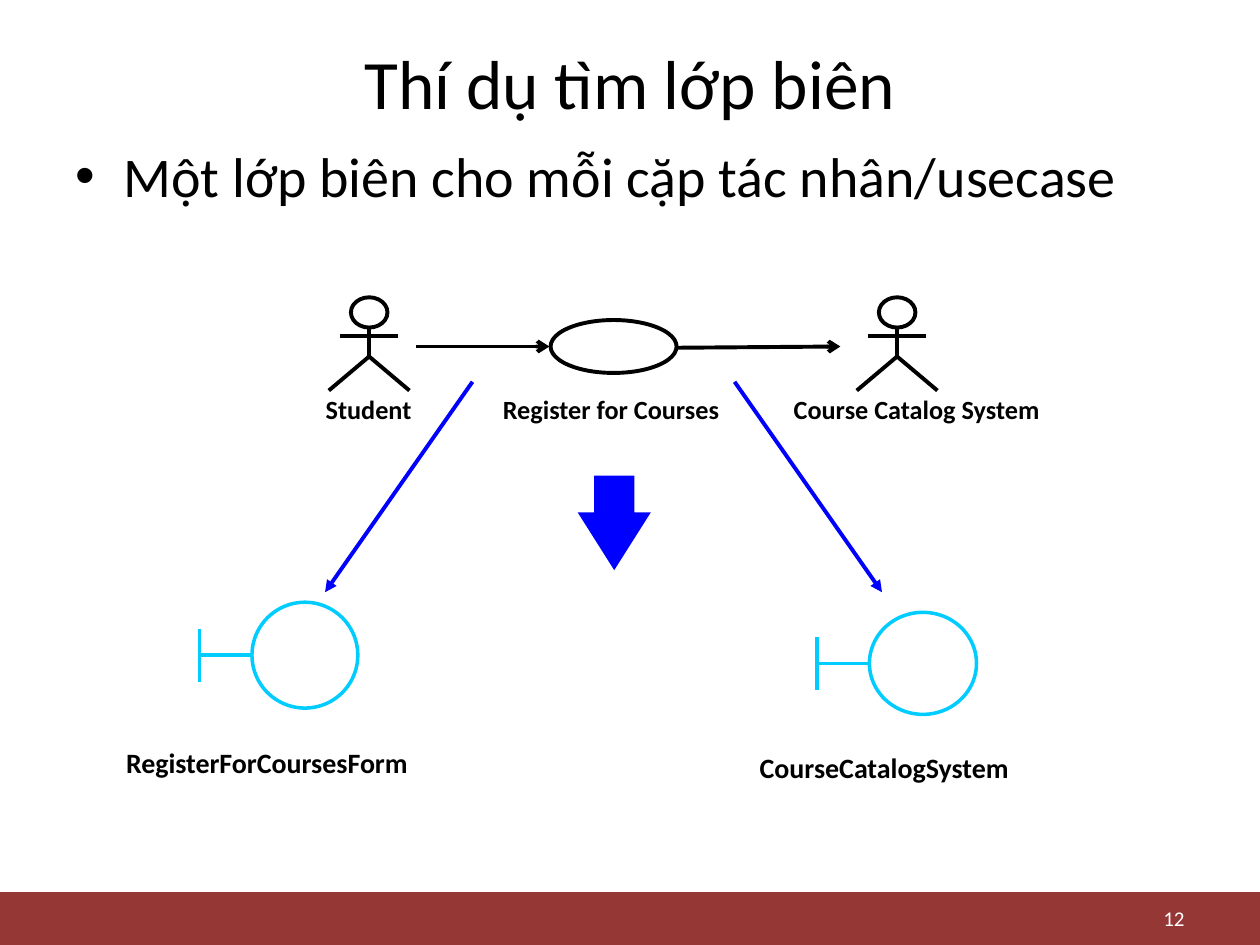
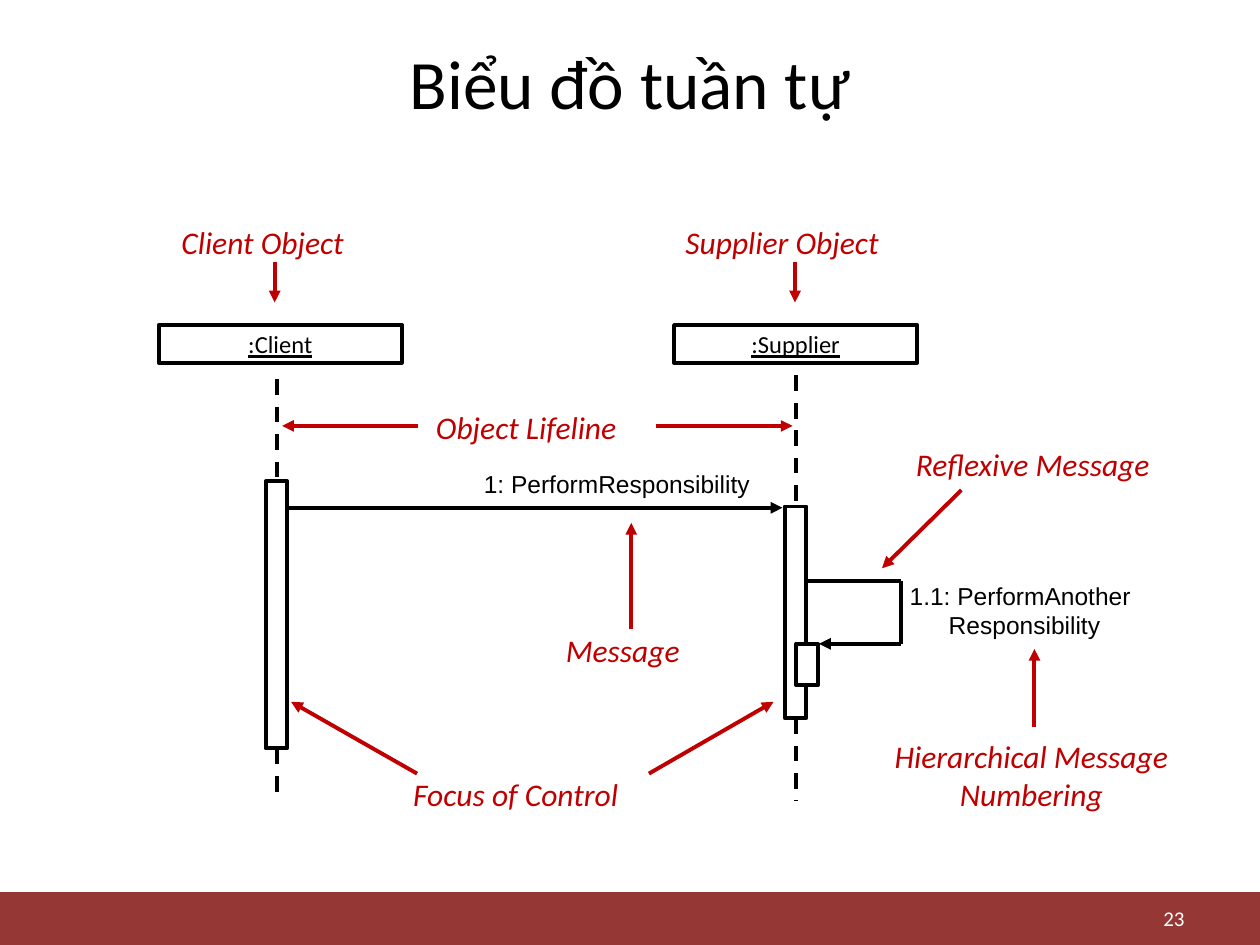
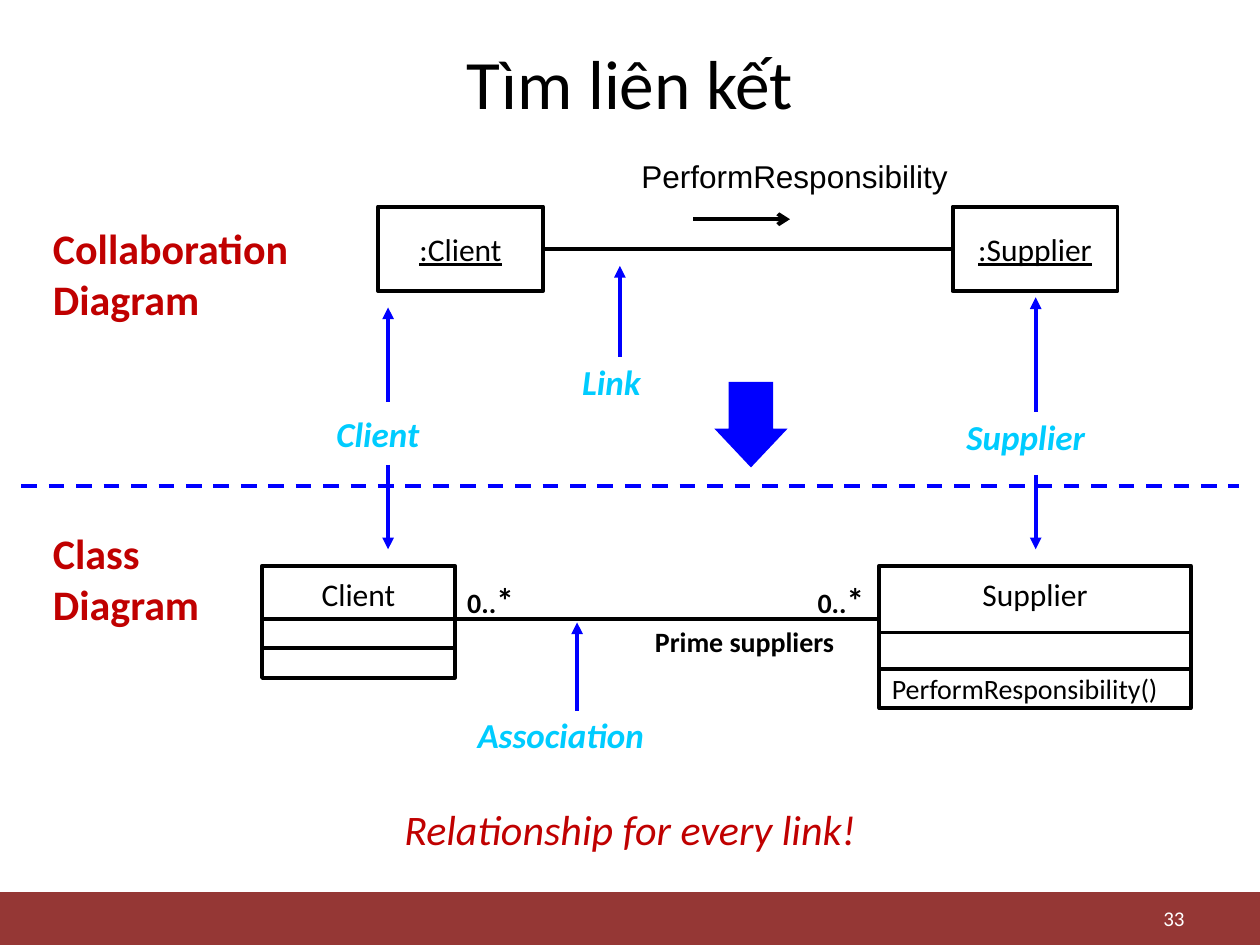
from dataclasses import dataclass
from itertools import pairwise

import pptx
import pptx.dml.color
import pptx.enum.dml
import pptx.enum.shapes
import pptx.enum.text
import pptx.oxml
import pptx.oxml.ns
import pptx.util

SHAPE = pptx.enum.shapes.MSO_SHAPE
ALIGN = pptx.enum.text.PP_ALIGN
ANCHOR = pptx.enum.text.MSO_ANCHOR
FIT = pptx.enum.text.MSO_AUTO_SIZE
COLS, ROWS = 100, 75


@dataclass(frozen=True)
class Type:
    size: float
    color: str = "000000"
    bold: bool = False
    italic: bool = False
    under: bool = False
    face: str = "Calibri"


class Theme:
    black, white, band = "000000", "FFFFFF", "953735"
    red, blue, cyan = "C00000", "0000FF", "00CCFF"
    stroke, thin = 2.25, 2
    types = {
        "title": Type(39.6),
        "body": Type(32),
        "page": Type(12, white),
        "role": Type(15, bold=True),
        "form": Type(16, bold=True),
        "many": Type(20, bold=True),
        "call": Type(18, red, italic=True),
        "object": Type(14, under=True),
        "code": Type(14, face="Arial"),
        "message": Type(18, face="Arial"),
        "term": Type(20, cyan, bold=True, italic=True),
        "head": Type(24, red, bold=True),
        "link": Type(18, under=True),
        "class": Type(18),
        "method": Type(16),
        "moral": Type(24, red, italic=True),
    }


def rgb(code):
    return pptx.dml.color.RGBColor.from_string(code)


def add_tag(parent, name, **attrs):
    tag = pptx.oxml.parse_xml(f"<a:{name} {pptx.oxml.ns.nsdecls('a')}/>")
    for key, value in attrs.items():
        tag.set(key, value)
    parent.append(tag)


class Deck:
    """Style, grid and current slide; every length is in grid columns or rows."""

    def __init__(self, theme):
        self.theme = theme
        self.file = pptx.Presentation()
        self.file.slide_width = pptx.util.Inches(10)
        self.file.slide_height = pptx.util.Inches(7.5)
        self.slide = None

    def x(self, cols):
        return round(self.file.slide_width * cols / COLS)

    def y(self, rows):
        return round(self.file.slide_height * rows / ROWS)

    def spot(self, left, top, wide, high):
        return self.x(left), self.y(top), self.x(wide), self.y(high)

    def start(self, title, page, layout=5):
        self.slide = self.file.slides.add_slide(self.file.slide_layouts[layout])
        self.shape(SHAPE.RECTANGLE, (0, 70.8, COLS, 4.2), fill=self.theme.band)
        self.holder(0, (5, 3, 90, 7), title, "title", ALIGN.CENTER)
        self.note(71.7, 71.35, 23.3, str(page), "page", ALIGN.RIGHT, pad=True)

    def holder(self, index, area, words, kind, align=ALIGN.LEFT):
        item = self.slide.placeholders[index]
        item.left, item.top, item.width, item.height = self.spot(*area)
        item.text_frame.auto_size = FIT.NONE
        item.text_frame.vertical_anchor = ANCHOR.TOP if index else ANCHOR.MIDDLE
        self.set_text(item.text_frame, words, kind, align, 3.8 if index else 0, bool(index))

    def set_text(self, frame, words, kind, align=ALIGN.LEFT, hang=0, bullet=False):
        style = self.theme.types[kind]
        frame.text = words
        for par in frame.paragraphs:
            props = par._p.get_or_add_pPr()
            par.alignment = align
            par.space_before = pptx.util.Pt(0)
            if hang:
                props.set("marL", str(self.x(hang)))
                props.set("indent", str(-self.x(hang)))
            if bullet:
                add_tag(props, "buFont", typeface="Arial")
                add_tag(props, "buChar", char="•")
            font = par.font
            font.name, font.size = style.face, pptx.util.Pt(style.size)
            font.bold, font.italic = style.bold, style.italic
            font.underline = style.under
            font.color.rgb = rgb(style.color)

    def pad(self, frame, top=0):
        frame.margin_left = frame.margin_right = frame.margin_bottom = 0
        frame.margin_top = self.y(top)

    def note(self, left, top, wide, words, kind, align=ALIGN.LEFT, pad=False, wrap=None, hang=0):
        """Text box whose height follows from its lines and type size."""
        lines = 1 + words.count("\n") + words.count("\v")
        high = lines * self.theme.types[kind].size / 6 + pad
        frame = self.slide.shapes.add_textbox(*self.spot(left, top, wide, high)).text_frame
        frame.word_wrap = pad if wrap is None else wrap
        frame.auto_size = FIT.SHAPE_TO_FIT_TEXT
        if not pad:
            self.pad(frame)
        self.set_text(frame, words, kind, align, hang)
        return frame.paragraphs[0]

    def paint(self, item, fill=None, color=None, width=None):
        item.shadow.inherit = False
        if fill:
            item.fill.solid()
            item.fill.fore_color.rgb = rgb(fill)
        else:
            item.fill.background()
        if color:
            item.line.color.rgb = rgb(color)
            item.line.width = pptx.util.Pt(width or self.theme.stroke)
        else:
            item.line.fill.background()
        return item

    def shape(self, form, area, **look):
        return self.paint(self.slide.shapes.add_shape(form, *self.spot(*area)), **look)

    def box(self, area, words="", kind="object", fill=None, inset=None):
        """Outlined rectangle; an inset sets its text from the top, else mid."""
        item = self.shape(SHAPE.RECTANGLE, area, fill=fill, color=self.theme.black)
        if words:
            frame = item.text_frame
            self.pad(frame, inset or 0)
            frame.vertical_anchor = ANCHOR.TOP if inset else ANCHOR.MIDDLE
            self.set_text(frame, words, kind, ALIGN.CENTER)
        return item

    def line(self, start, end, color=None, tip=None, dash=False, width=None, joins=(None, None)):
        """Straight line; joins holds a (shape, side) pair or None for each end."""
        item = self.slide.shapes.add_connector(
            pptx.enum.shapes.MSO_CONNECTOR.STRAIGHT,
            self.x(start[0]), self.y(start[1]), self.x(end[0]), self.y(end[1]))
        for join, hook in zip(joins, (item.begin_connect, item.end_connect)):
            if join:
                hook(*join)
        item.line.color.rgb = rgb(color or self.theme.black)
        item.line.width = pptx.util.Pt(width or self.theme.stroke)
        if dash:
            item.line.dash_style = pptx.enum.dml.MSO_LINE.DASH
        if tip:
            add_tag(item.line._get_or_add_ln(), "tailEnd", type=tip)
        add_tag(item._element.spPr, "effectLst")

    def arrow(self, start, end, color):
        self.line(start, end, color, "triangle")

    def block(self, area, shaft, head):
        item = self.shape(SHAPE.DOWN_ARROW, area, fill=self.theme.blue)
        item.adjustments[0], item.adjustments[1] = shaft, head

    def actor(self, mid, top):
        """Stick figure centred on the column mid."""
        black = self.theme.black
        self.shape(SHAPE.OVAL, (mid - 1.45, top, 2.9, 2.4), color=black)
        self.line((mid, top + 2.5), (mid, top + 4.7))
        self.line((mid - 2.3, top + 3.1), (mid + 2.3, top + 3.1))
        feet = top + 7.4
        legs = self.slide.shapes.build_freeform(self.x(mid - 3.2), self.y(feet))
        legs.add_line_segments(
            [(self.x(mid), self.y(top + 4.7)), (self.x(mid + 3.2), self.y(feet))], close=False)
        self.paint(legs.convert_to_shape(), color=black)

    def border(self, left, top, wide, high):
        """Boundary class symbol: a circle on a stem with a bar."""
        look = dict(color=self.theme.cyan, width=self.theme.thin)
        self.shape(SHAPE.OVAL, (left, top, wide, high), **look)
        bar, mid = left - 4.15, top + high / 2
        self.line((bar, mid - 2.1), (bar, mid + 2.1), **look)
        self.line((bar, mid), (left, mid), **look)

    def entity(self, area, words, cuts):
        """Class box with its name on top and dividers at the given rows."""
        self.box(area, words, "class", inset=0.75)
        for row in cuts:
            self.line((area[0], row), (area[0] + area[2], row))


def find_border(deck):
    deck.start("Thí dụ tìm lớp biên", 12, layout=1)
    deck.holder(1, (5, 10.7, 90, 8.5), "Một lớp biên cho mỗi cặp tác nhân/usecase", "body")
    for mid in (29.3, 71.2):
        deck.actor(mid, 23.6)
    deck.shape(SHAPE.OVAL, (43.7, 25.4, 10, 4.2), color=deck.theme.black)
    deck.line((33, 27.5), (43.6, 27.5), tip="arrow")
    deck.line((53.8, 27.6), (66.7, 27.5), tip="arrow")
    for left, wide, role in ((15.8, 26.9, "Student"), (36, 25, "Register for Courses"),
                             (59.3, 26.9, "Course Catalog System")):
        deck.note(left, 30.7, wide, role, "role", ALIGN.CENTER, pad=True)
    for start, end in ((37.5, 25.8), (58.3, 70)):
        deck.arrow((start, 30.3), (end, 47), deck.theme.blue)
    deck.block((45.85, 37.75, 5.8, 7.5), 0.55, 0.79)
    deck.border(20, 47.8, 8.4, 8.4)
    deck.border(69, 48.6, 8.5, 8.1)
    deck.note(10, 59.2, 26.9, "RegisterForCoursesForm", "form")
    deck.note(60.3, 59.6, 23.7, "CourseCatalogSystem", "form")


def show_sequence(deck):
    deck.start("Biểu đồ tuần tự", 23)
    red = deck.theme.red
    deck.box((12.6, 25.8, 19.3, 3), ":Client")
    deck.box((53.5, 25.8, 19.3, 3), ":Supplier")
    client = deck.box((21.1, 38.2, 1.7, 21.2))
    server = deck.box((62.3, 40.2, 1.7, 16.8))
    deck.box((63.2, 51.1, 1.7, 3.3), fill=deck.theme.white)
    for bar, mid, top, low, foot, end in ((client, 21.95, 30.1, 38.2, 59.4, 63.2),
                                          (server, 63.15, 29.8, 40.2, 57, 63.6)):
        deck.line((mid, top), (mid, low), dash=True, joins=(None, (bar, 0)))
        deck.line((mid, foot), (mid, end), dash=True, joins=((bar, 2), None))
    deck.arrow((22.8, 40.3), (62.1, 40.3), deck.theme.black)
    loop = [(63.9, 46.1), (71.5, 46.1), (71.5, 51.1), (65, 51.1)]
    for turn, (start, end) in enumerate(pairwise(loop)):
        deck.line(start, end, tip="triangle" if turn == 2 else None)
    deck.note(38.4, 37.2, 31, "1: PerformResponsibility", "code", wrap=True)
    deck.note(72.2, 46.1, 21, "1.1: PerformAnother\vResponsibility", "code", wrap=True, hang=3.1)
    for left, top, wide, words in (
            (14.4, 17.7, 13, "Client Object"), (54.4, 17.7, 15.5, "Supplier Object"),
            (34.6, 32.4, 14.5, "Object Lifeline"), (72.7, 35.3, 18.7, "Reflexive Message"),
            (44.9, 50.1, 9.1, "Message"), (32.8, 61.5, 16.4, "Focus of Control")):
        deck.note(left, top, wide, words, "call")
    deck.note(70.9, 58.5, 21.9, "Hierarchical Message\nNumbering", "call", ALIGN.CENTER)
    for start, end in (
            ((21.8, 20.8), (21.8, 24)), ((63.1, 20.8), (63.1, 24)),
            ((33.2, 33.8), (22.4, 33.8)), ((52.1, 33.8), (62.9, 33.8)),
            ((50.1, 49.9), (50.1, 41.5)), ((76.3, 38.9), (70, 45.1)),
            ((33.1, 61.4), (23.1, 55.7)), ((51.5, 61.4), (61.4, 55.7)),
            ((82.1, 57.7), (82.1, 51.5))):
        deck.arrow(start, end, red)


def find_link(deck):
    deck.start("Tìm liên kết", 33)
    blue = deck.theme.blue
    deck.note(4.2, 17.7, 18.9, "Collaboration\nDiagram", "head")
    deck.note(4.2, 41.9, 11.7, "Class\nDiagram", "head")
    deck.line((1.7, 38.6), (98.3, 38.6), blue, dash=True)
    client = deck.box((30, 16.4, 13.1, 6.7), ":Client", "link")
    server = deck.box((75.6, 16.4, 13.1, 6.7), ":Supplier", "link")
    deck.line((43.1, 19.75), (75.6, 19.75), joins=((client, 3), (server, 1)))
    deck.note(50.9, 12.5, 30.4, "PerformResponsibility", "message", wrap=True)
    deck.line((55, 17.4), (62.7, 17.4), tip="arrow")
    deck.block((56.7, 30.3, 5.8, 6.8), 0.61, 0.53)
    deck.entity((20.8, 44.9, 15.3, 8.9), "Client", (49.1, 51.4))
    deck.entity((69.8, 44.9, 24.7, 11.3), "Supplier", (50.2, 53.1))
    deck.note(69.8, 52.8, 25.8, "PerformResponsibility()", "method", pad=True)
    deck.line((35.9, 49.1), (69.8, 49.1))
    for left in (36.1, 63.9):
        many = deck.note(left, 45.4, 6.1, "0..", "many", pad=True)
        many.runs[0].font.size = pptx.util.Pt(16)
        many.add_run().text = "*"
    deck.note(51, 49.1, 19.3, "Prime suppliers", "form", pad=True)
    for left, top, wide, term in ((46.2, 28.6, 5.7, "Link"), (37.9, 56.6, 15.7, "Association"),
                                  (26.7, 32.7, 7.7, "Client"), (76.7, 33, 11.1, "Supplier")):
        deck.note(left, top, wide, term, "term")
    for mid, start, end in ((49.2, 28.3, 21.1), (45.8, 56.4, 49.4), (30.8, 31.9, 24.4),
                            (30.8, 36.9, 43.6), (82.2, 32.7, 23.6), (82.2, 37.7, 43.6)):
        deck.arrow((mid, start), (mid, end), blue)
    deck.note(22.1, 63.3, 55.8, "Relationship for every link!", "moral", ALIGN.CENTER, pad=True)


def main():
    deck = Deck(Theme)
    for draw in (find_border, show_sequence, find_link):
        draw(deck)
    deck.file.save("out.pptx")


if __name__ == "__main__":
    main()
